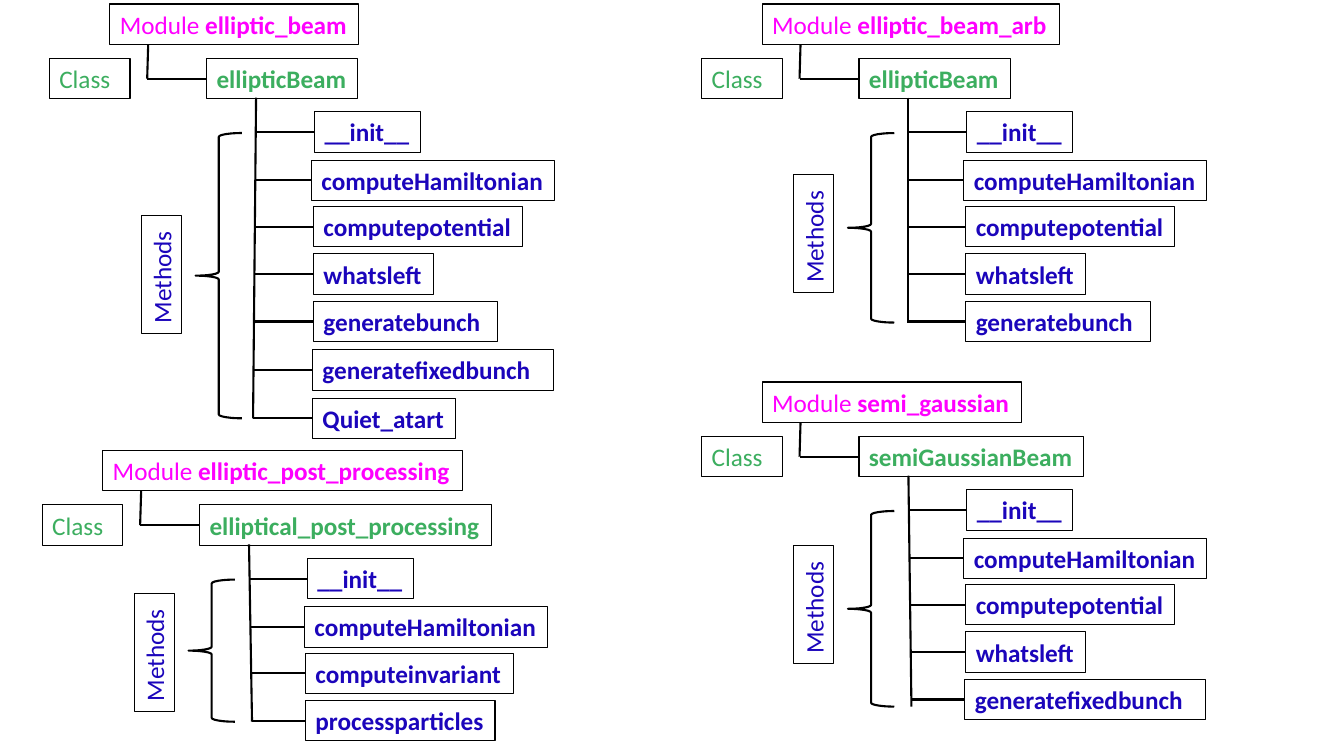
from dataclasses import dataclass

from lxml import etree
from pptx import Presentation
from pptx.dml.color import RGBColor
from pptx.enum.shapes import MSO_CONNECTOR, MSO_SHAPE
from pptx.enum.text import MSO_AUTO_SIZE
from pptx.oxml.ns import qn
from pptx.util import Inches, Pt

STRAIGHT = MSO_CONNECTOR.STRAIGHT
LEFT_BRACE = MSO_SHAPE.LEFT_BRACE
GROW = MSO_AUTO_SIZE.SHAPE_TO_FIT_TEXT
BLANK_LAYOUT = 6


@dataclass(frozen=True)
class Theme:
    """Colours, type and line sizes of the slide."""
    module: RGBColor = RGBColor(0xFF, 0x00, 0xFF)
    class_name: RGBColor = RGBColor(0x3C, 0xAE, 0x5F)
    method: RGBColor = RGBColor(0x1B, 0x05, 0xBB)
    line: RGBColor = RGBColor(0, 0, 0)
    font: str = "Calibri"
    text_size: Pt = Pt(18)
    border: Pt = Pt(0.75)
    branch: Pt = Pt(1.5)


@dataclass(frozen=True)
class ModuleTree:
    """One module: its place, names, widths and methods, in inches."""
    left: float
    top: float
    module: str
    module_width: float
    class_name: str
    class_width: float
    methods: tuple
    spine_lean: float
    spine_foot: float
    label_middle: float


THEME = Theme()
BOX_HEIGHT = 0.4
CLASS_TOP = 0.54
BRANCH_LEFT = 0.97
NAME_LEFT = 1.56
SPINE_LEFT = 2.05
SPINE_TOP = 0.93
BRACE_LEFT, BRACE_TOP, BRACE_WIDTH = 1.45, 1.28, 0.46
LABEL_MIDDLE, LABEL_LENGTH = 1.11, 1.17
METHOD_TOPS = (1.07, 1.55, 2.01, 2.48, 2.95, 3.43, 3.91)

# Left offset and width of each method box
METHOD_BOXES = {
    "__init__": (2.63, 1.05),
    "computeHamiltonian": (2.6, 2.41),
    "computepotential": (2.62, 2.07),
    "whatsleft": (2.62, 1.19),
    "generatebunch": (2.62, 1.83),
    "generatefixedbunch": (2.61, 2.39),
    "Quiet_atart": (2.61, 1.42),
    "computeinvariant": (2.61, 2.06),
    "processparticles": (2.61, 1.88),
}
WRAPPED = {"Class", "Methods", "generatefixedbunch"}

SHARED = ("__init__", "computeHamiltonian")
POTENTIAL = SHARED + ("computepotential", "whatsleft")
BUNCH = POTENTIAL + ("generatebunch",)

TREES = (
    ModuleTree(0.49, 0.04, "elliptic_beam", 2.47, "ellipticBeam", 1.5,
               BUNCH + ("generatefixedbunch", "Quiet_atart"), -0.03, 4.11, 2.68),
    ModuleTree(6.96, 0.04, "elliptic_beam_arb", 2.95, "ellipticBeam", 1.5,
               BUNCH, 0, 3.16, 2.28),
    ModuleTree(0.42, 4.47, "elliptic_post_processing", 3.57,
               "elliptical_post_processing", 2.9,
               SHARED + ("computeinvariant", "processparticles"), 0.03, 2.69, 2.0),
    ModuleTree(6.96, 3.79, "semi_gaussian", 2.57, "semiGaussianBeam", 2.23,
               POTENTIAL + ("generatefixedbunch",), 0.03, 3.22, 2.21),
)


def add_box(slide, left, top, width, runs, color):
    """Add a bordered box holding (text, bold) runs."""
    box = slide.shapes.add_textbox(Inches(left), Inches(top),
                                   Inches(width), Inches(BOX_HEIGHT))
    box.line.color.rgb = THEME.line
    box.line.width = THEME.border
    frame = box.text_frame
    frame.word_wrap = runs[0][0] in WRAPPED
    frame.auto_size = GROW
    for text, bold in runs:
        run = frame.paragraphs[0].add_run()
        run.text = text
        run.font.name = THEME.font
        run.font.size = THEME.text_size
        run.font.bold = bold
        run.font.color.rgb = color
    return box


def add_branch(slide, start_x, start_y, end_x, end_y):
    """Add a plain straight line."""
    line = slide.shapes.add_connector(STRAIGHT, Inches(start_x), Inches(start_y),
                                      Inches(end_x), Inches(end_y))
    line.line.color.rgb = THEME.line
    line.line.width = THEME.branch
    properties = line._element.find(qn("p:spPr"))
    etree.SubElement(properties, qn("a:effectLst"))


def add_header(slide, tree):
    """Add the module box and the class row joined to it."""
    left, top = tree.left, tree.top
    class_top = top + CLASS_TOP
    class_middle = class_top + BOX_HEIGHT / 2
    branch = left + BRANCH_LEFT
    add_box(slide, left + 0.6, top, tree.module_width,
            (("Module ", False), (tree.module, True)), THEME.module)
    add_box(slide, left, class_top, 0.8, (("Class", False),), THEME.class_name)
    add_box(slide, left + NAME_LEFT, class_top, tree.class_width,
            ((tree.class_name, True),), THEME.class_name)
    add_branch(slide, branch + 0.01, top + BOX_HEIGHT, branch, class_middle)
    add_branch(slide, branch, class_middle, left + NAME_LEFT, class_middle)


def add_methods(slide, tree):
    """Add the spine with one branch and box for each method."""
    spine = tree.left + SPINE_LEFT
    add_branch(slide, spine, tree.top + SPINE_TOP,
               spine + tree.spine_lean, tree.top + tree.spine_foot)
    for name, row_top in zip(tree.methods, METHOD_TOPS):
        offset, width = METHOD_BOXES[name]
        middle = row_top + BOX_HEIGHT / 2
        share = (middle - SPINE_TOP) / (tree.spine_foot - SPINE_TOP)
        add_box(slide, tree.left + offset, tree.top + row_top, width,
                ((name, True),), THEME.method)
        add_branch(slide, spine + tree.spine_lean * share, tree.top + middle,
                   tree.left + offset, tree.top + middle)


def add_methods_label(slide, tree):
    """Add the brace and the upright label beside the methods."""
    brace = slide.shapes.add_shape(
        LEFT_BRACE, Inches(tree.left + BRACE_LEFT), Inches(tree.top + BRACE_TOP),
        Inches(BRACE_WIDTH), Inches(tree.spine_foot - BRACE_TOP))
    brace.shadow.inherit = False
    brace.fill.background()
    brace.line.color.rgb = THEME.line
    brace.line.width = THEME.branch
    label = add_box(slide, tree.left + LABEL_MIDDLE - LABEL_LENGTH / 2,
                    tree.top + tree.label_middle - BOX_HEIGHT / 2,
                    LABEL_LENGTH, (("Methods", False),), THEME.method)
    label.rotation = 270


def build_slide(presentation):
    """Add the slide with all module trees."""
    slide = presentation.slides.add_slide(presentation.slide_layouts[BLANK_LAYOUT])
    for tree in TREES:
        add_header(slide, tree)
        add_methods(slide, tree)
        add_methods_label(slide, tree)


presentation = Presentation()
presentation.slide_width = Inches(13.33)
presentation.slide_height = Inches(7.5)
build_slide(presentation)
presentation.save("out.pptx")
